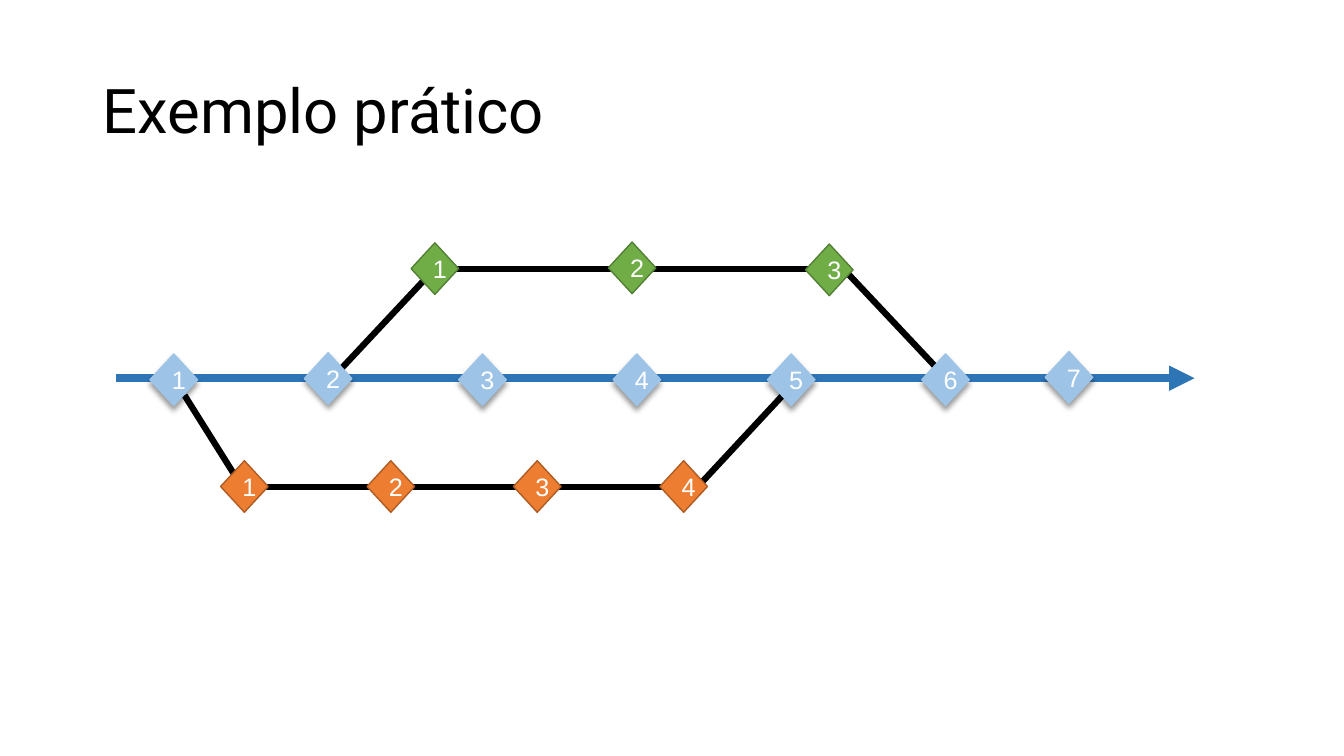
"""Build a slide showing a main timeline with two parallel branches."""
from typing import NamedTuple

from lxml import etree
from pptx import Presentation
from pptx.dml.color import RGBColor
from pptx.enum import shapes, text
from pptx.oxml import ns
from pptx.util import Cm, Pt

HUES = {
    "black": "000000", "white": "FFFFFF", "axis": "2E75B6", "main": "9DC3E6",
    "green": "70AD47", "moss": "538035", "orange": "ED7D31", "rust": "AF5C24",
}


class Path(NamedTuple):
    points: list[tuple[float, float]]
    hue: str = "black"
    width: float = 4.5
    arrow: bool = False


class Row(NamedTuple):
    left: float
    step: float
    tops: list[float]
    fill: str
    edge: str
    first: int = 1
    shade: bool = False


PATHS = [
    Path([(8.59, 9.3), (10.95, 6.78), (21.26, 6.78), (23.65, 9.32)]),
    Path([(4.65, 9.96), (6.1, 12.27), (17.58, 12.27), (19.94, 9.73)]),
    Path([(2.92, 9.53), (30.1, 9.53)], "axis", 6, True),
]
ROWS = [
    Row(3.78, 3.89, [8.92, 8.89] + [8.92] * 4, "main", "main", shade=True),
    Row(26.34, 0, [8.86], "main", "main", first=7, shade=True),
    Row(5.56, 3.69, [11.61] * 4, "orange", "rust"),
    Row(10.36, 4.97, [6.12, 6.1, 6.15], "green", "moss"),
]


def color(name: str) -> RGBColor:
    """Return a named colour."""
    return RGBColor.from_string(HUES[name])


def write(frame, words: str, font: str, size: float, hue: str, align) -> None:
    """Add one styled run to the first paragraph."""
    frame.vertical_anchor = text.MSO_ANCHOR.MIDDLE
    para = frame.paragraphs[0]
    para.alignment = align
    run = para.add_run()
    run.text = words
    run.font.name, run.font.size = font, Pt(size)
    run.font.color.rgb = color(hue)


def trace(slide, route: Path) -> None:
    """Draw the segments of a route."""
    for start, end in zip(route.points, route.points[1:]):
        line = slide.shapes.add_connector(
            shapes.MSO_CONNECTOR.STRAIGHT, *map(Cm, start + end))
        line.line.color.rgb = color(route.hue)
        line.line.width = Pt(route.width)
        props = line._element.spPr
        if route.arrow:
            etree.SubElement(line.line._get_or_add_ln(), ns.qn("a:tailEnd"), type="triangle")
        etree.SubElement(props, ns.qn("a:effectLst"))


def shade(shape) -> None:
    """Give a shape a soft shadow below it."""
    effects = shape._element.spPr.find(ns.qn("a:effectLst"))
    cast = etree.SubElement(
        effects, ns.qn("a:outerShdw"), blurRad=str(Pt(4)), dist=str(Pt(3)),
        dir="5400000", algn="t", rotWithShape="0")
    tint = etree.SubElement(cast, ns.qn("a:srgbClr"), val=HUES["black"])
    etree.SubElement(tint, ns.qn("a:alpha"), val="40000")


def place(slide, row: Row) -> None:
    """Draw a row of numbered diamonds."""
    for index, top in enumerate(row.tops):
        mark = slide.shapes.add_shape(
            shapes.MSO_SHAPE.DIAMOND, Cm(row.left + index * row.step), Cm(top),
            Cm(1.2), Cm(1.3))
        mark.fill.solid()
        mark.fill.fore_color.rgb = color(row.fill)
        mark.line.color.rgb = color(row.edge)
        mark.line.width = Pt(1)
        mark.shadow.inherit = False
        if row.shade:
            shade(mark)
        write(mark.text_frame, str(row.first + index), "Arial", 18, "white",
              text.PP_ALIGN.CENTER)


def main() -> None:
    """Compose and save the slide."""
    deck = Presentation()
    deck.slide_width, deck.slide_height = Cm(33.87), Cm(19.05)
    slide = deck.slides.add_slide(deck.slide_layouts[5])
    title = slide.shapes.title
    title.left, title.top = Cm(2.33), Cm(1.01)
    title.width, title.height = Cm(29.21), Cm(3.68)
    title.text_frame.auto_size = text.MSO_AUTO_SIZE.NONE
    title.text_frame.paragraphs[0].line_spacing = 0.9
    write(title.text_frame, "Exemplo prático", "Roboto", 44, "black", text.PP_ALIGN.LEFT)
    for route in PATHS:
        trace(slide, route)
    for row in ROWS:
        place(slide, row)
    deck.save("out.pptx")


if __name__ == "__main__":
    main()
